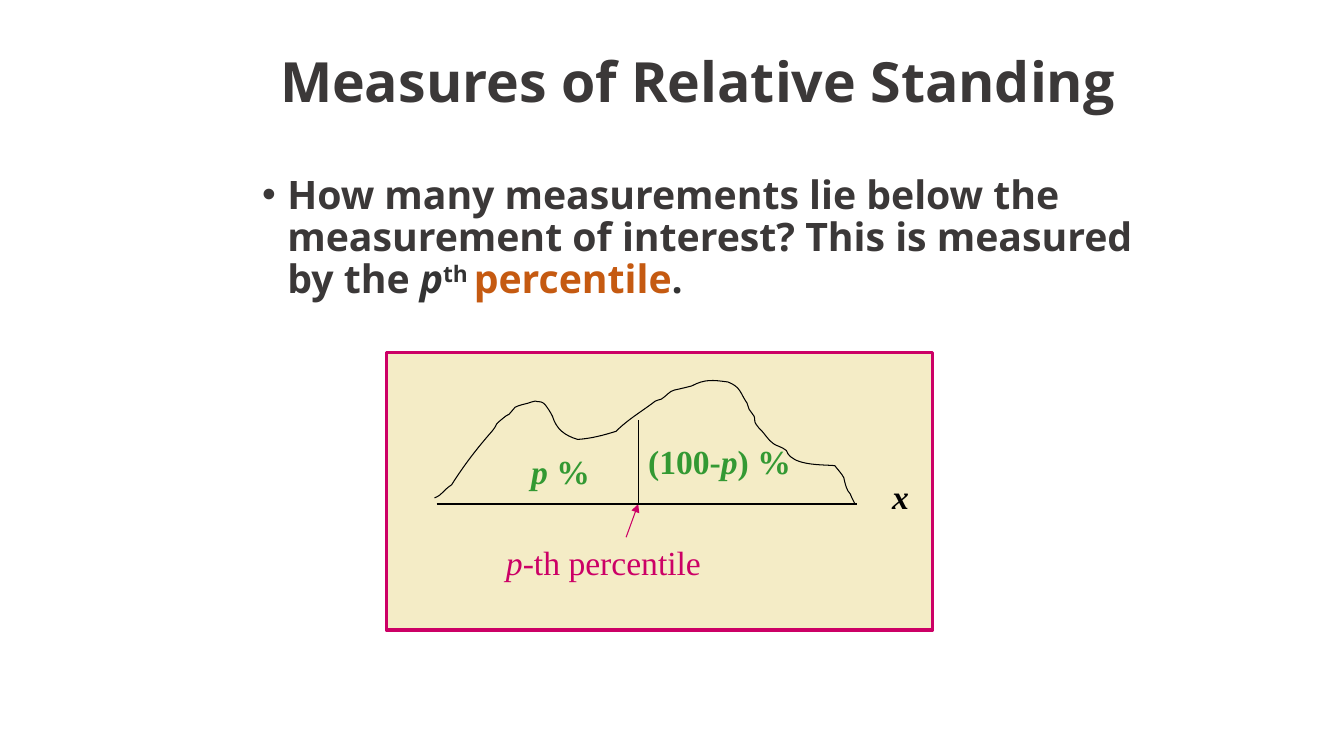
import pptx
import pptx.dml.color
import pptx.enum.shapes
import pptx.enum.text
import pptx.oxml.ns
import pptx.util
from lxml import etree
from pptx.util import Inches

COLORS = {
    "heading": "3B3838",
    "body": "333333",
    "accent": "C55A11",
    "panel": "F4ECC6",
    "magenta": "CC0066",
    "green": "339933",
    "black": "000000",
}
SANS = "Open Sans"
SERIF = "Times New Roman"

# Distribution curve in inches: start, then two control points and an end per arc
CURVE_START = (4.31, 4.94)
CURVE_ARCS = [
    (4.39, 4.91), (4.4, 4.86), (4.48, 4.81),
    (4.6, 4.62), (4.73, 4.45), (4.88, 4.28),
    (4.96, 4.18), (4.88, 4.24), (4.99, 4.15),
    (5.01, 4.13), (5.03, 4.12), (5.05, 4.11),
    (5.07, 4.09), (5.09, 4.06), (5.11, 4.04),
    (5.15, 4.02), (5.2, 4.01), (5.24, 4),
    (5.26, 3.99), (5.31, 3.98), (5.31, 3.98),
    (5.33, 3.99), (5.37, 3.98), (5.39, 4),
    (5.43, 4.03), (5.48, 4.13), (5.48, 4.13),
    (5.52, 4.26), (5.6, 4.32), (5.73, 4.36),
    (5.87, 4.35), (5.98, 4.32), (6.11, 4.28),
    (6.23, 4.16), (6.37, 4.08), (6.5, 3.98),
    (6.51, 3.97), (6.54, 3.97), (6.56, 3.96),
    (6.61, 3.93), (6.64, 3.88), (6.69, 3.87),
    (6.74, 3.86), (6.86, 3.83), (6.86, 3.83),
    (6.99, 3.76), (7.07, 3.77), (7.22, 3.79),
    (7.35, 3.84), (7.34, 3.9), (7.41, 4),
    (7.42, 4.02), (7.42, 4.04), (7.43, 4.06),
    (7.44, 4.09), (7.47, 4.1), (7.48, 4.13),
    (7.49, 4.15), (7.48, 4.19), (7.5, 4.21),
    (7.51, 4.24), (7.54, 4.25), (7.56, 4.28),
    (7.62, 4.35), (7.64, 4.4), (7.73, 4.43),
    (7.75, 4.44), (7.78, 4.45), (7.8, 4.47),
    (7.81, 4.49), (7.82, 4.52), (7.84, 4.53),
    (7.94, 4.62), (8.17, 4.61), (8.28, 4.62),
    (8.31, 4.66), (8.35, 4.7), (8.37, 4.74),
    (8.38, 4.79), (8.39, 4.83), (8.41, 4.87),
    (8.43, 4.89), (8.44, 4.91), (8.45, 4.94),
    (8.46, 4.96), (8.48, 5), (8.48, 5),
]


def rgb(name):
    return pptx.dml.color.RGBColor.from_string(COLORS[name])


def add_run(paragraph, text, *, size, font, color, bold=False, italic=False, baseline=0):
    run = paragraph.add_run()
    run.text = text
    run.font.size = pptx.util.Pt(size)
    run.font.name = font
    run.font.bold = bold
    run.font.italic = italic
    run.font.color.rgb = rgb(color)
    if baseline:
        run.font._element.set("baseline", str(baseline * 1000))


def place(shape, left, top, width, height):
    shape.left, shape.top = Inches(left), Inches(top)
    shape.width, shape.height = Inches(width), Inches(height)


def add_label(slide, box, parts, color, bold=True, wrap=True):
    """Add a diagram label; parts are (text, italic) pairs."""
    label = slide.shapes.add_textbox(*map(Inches, box))
    label.text_frame.word_wrap = wrap
    label.text_frame.auto_size = pptx.enum.text.MSO_AUTO_SIZE.SHAPE_TO_FIT_TEXT
    for text, italic in parts:
        add_run(label.text_frame.paragraphs[0], text, size=24, font=SERIF,
                color=color, bold=bold, italic=italic)
    return label


def add_line(slide, start, end, color="black", arrow=False):
    line = slide.shapes.add_connector(
        pptx.enum.shapes.MSO_CONNECTOR.STRAIGHT, *map(Inches, start + end))
    line.line.color.rgb = rgb(color)
    line.line.width = pptx.util.Pt(0.75)
    if arrow:
        etree.SubElement(line.line._get_or_add_ln(),
                         pptx.oxml.ns.qn("a:tailEnd"), type="triangle")
    etree.SubElement(line._element.spPr, pptx.oxml.ns.qn("a:effectLst"))
    return line


def add_curve(slide, start, arcs):
    builder = slide.shapes.build_freeform(*map(Inches, start))
    builder.add_line_segments([tuple(map(Inches, point)) for point in arcs], close=False)
    curve = builder.convert_to_shape()
    curve.shadow.inherit = False
    curve.fill.background()
    curve.line.color.rgb = rgb("black")
    curve.line.width = pptx.util.Pt(0.75)
    # Join each three straight segments into one Bezier arc
    outline = next(curve._element.iter(pptx.oxml.ns.qn("a:path")))
    segments = outline.findall(pptx.oxml.ns.qn("a:lnTo"))
    for first in range(0, len(segments), 3):
        arc = etree.SubElement(outline, pptx.oxml.ns.qn("a:cubicBezTo"))
        for segment in segments[first:first + 3]:
            arc.append(segment[0])
            outline.remove(segment)


def add_panel(slide, box):
    panel = slide.shapes.add_shape(
        pptx.enum.shapes.MSO_SHAPE.RECTANGLE, *map(Inches, box))
    panel.shadow.inherit = False
    panel.fill.solid()
    panel.fill.fore_color.rgb = rgb("panel")
    panel.line.color.rgb = rgb("magenta")
    panel.line.width = pptx.util.Pt(2.25)


def fill_title(title):
    place(title, 2.67, 0.21, 8.5, 1.25)
    title.text_frame.vertical_anchor = pptx.enum.text.MSO_ANCHOR.MIDDLE
    heading = title.text_frame.paragraphs[0]
    heading.alignment = pptx.enum.text.PP_ALIGN.CENTER
    heading.line_spacing = 0.9
    add_run(heading, "Measures of Relative Standing", size=39.6, font=SANS,
            color="heading", bold=True)


def fill_body(body):
    place(body, 2.5, 1.69, 9.09, 2)
    question = body.text_frame.paragraphs[0]
    properties = question._p.get_or_add_pPr()
    properties.set("marL", str(Inches(0.25)))
    properties.set("indent", str(Inches(-0.25)))
    etree.SubElement(properties, pptx.oxml.ns.qn("a:buFont"), typeface="Arial")
    etree.SubElement(properties, pptx.oxml.ns.qn("a:buChar"), char="•")
    question.line_spacing = 0.9
    question.space_before = pptx.util.Pt(0)
    for text, color, extra in [
        ("How many measurements lie below the measurement of interest? "
         "This is measured by the ", "heading", {}),
        ("p", "body", {"italic": True}),
        ("th ", "body", {"baseline": 30}),
        ("percentile", "accent", {}),
        (".", "body", {}),
    ]:
        add_run(question, text, size=28, font=SANS, color=color, bold=True, **extra)


def main():
    deck = pptx.Presentation()
    deck.slide_width, deck.slide_height = Inches(13.33), Inches(7.5)
    slide = deck.slides.add_slide(deck.slide_layouts[1])

    # Title and question
    fill_title(slide.shapes.title)
    fill_body(slide.placeholders[1])

    # Panel with the percentile label and its pointer
    add_panel(slide, (3.83, 3.5, 5.42, 2.75))
    percentile = add_label(slide, (4.92, 5.33, 2.58, 0.5),
                           [("p", True), ("-th percentile", False)],
                           "magenta", bold=False)
    pointer = add_line(slide, (6.21, 5.33), (6.33, 5), "magenta", arrow=True)
    pointer.begin_connect(percentile, 0)
    add_label(slide, (6.33, 4.33, 1.83, 0.5),
              [("(100-", False), ("p", True), (") %", False)], "green")

    # Distribution with its axis and dividing line
    add_line(slide, (4.33, 5), (8.5, 5))
    add_label(slide, (8.75, 4.67, 0.37, 0.5), [("x", True)], "black", wrap=False)
    add_curve(slide, CURVE_START, CURVE_ARCS)
    add_line(slide, (6.33, 4.17), (6.33, 5))
    add_label(slide, (5.17, 4.42, 0.92, 0.5), [("p ", True), ("%", False)], "green")

    deck.save("out.pptx")


if __name__ == "__main__":
    main()
